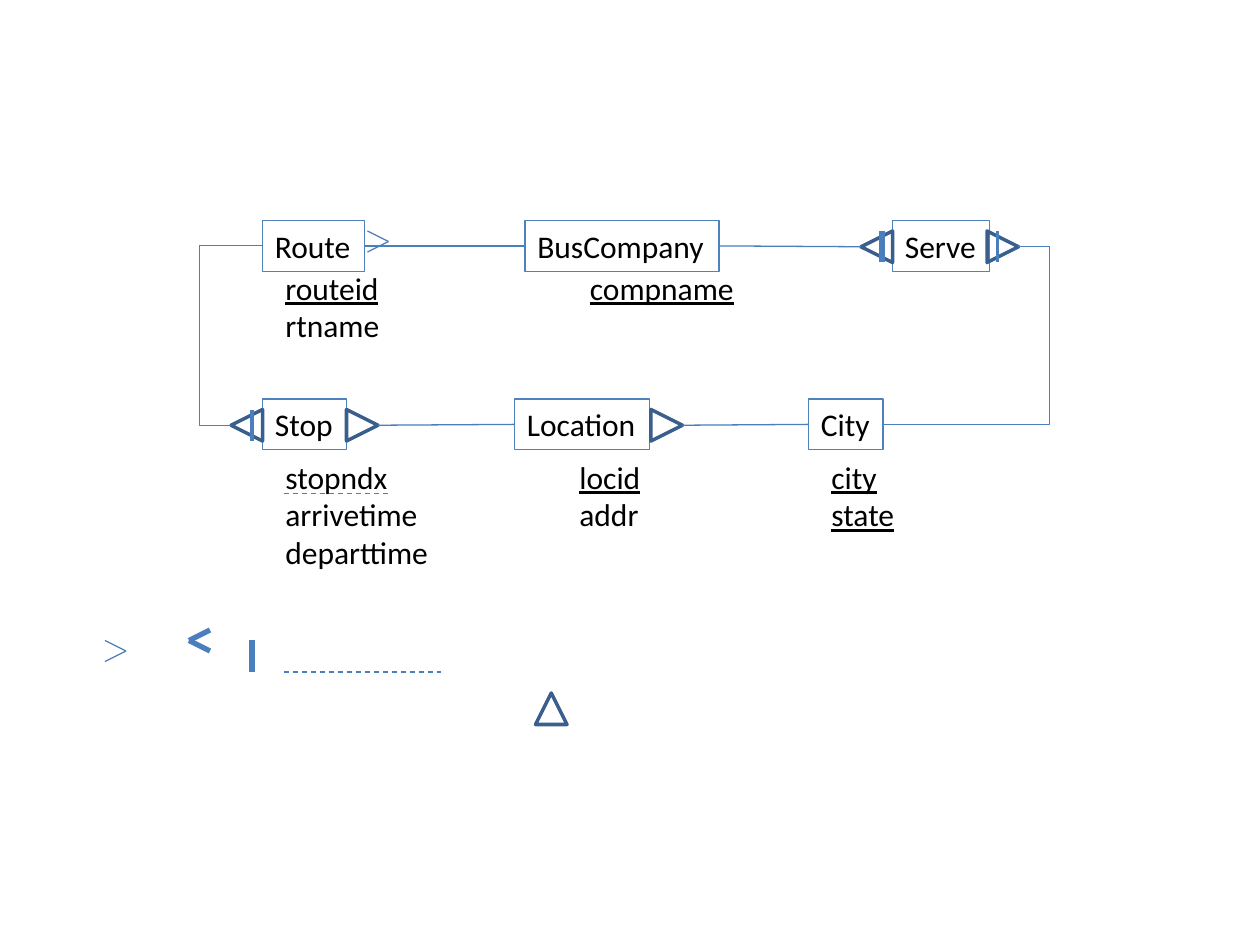
from lxml import etree
from pptx import Presentation
from pptx.dml.color import RGBColor
from pptx.enum.dml import MSO_LINE
from pptx.enum.shapes import MSO_CONNECTOR, MSO_SHAPE
from pptx.enum.text import MSO_ANCHOR, MSO_AUTO_SIZE, PP_ALIGN
from pptx.oxml.ns import qn
from pptx.util import Inches, Pt

BOX_BLUE = RGBColor(0x4F, 0x81, 0xBD)
LINK_BLUE = RGBColor(0x4B, 0x7E, 0xBC)
FOOT_BLUE = RGBColor(0x3A, 0x5F, 0x8C)
BLACK = RGBColor(0, 0, 0)

CELLS_PER_INCH = 12
BOX_HEIGHT = 4.84
FOOT = 3  # side of a crow's foot, in cells
TOP_ROW, BOTTOM_ROW = 21, 38
LEFT_SIDE, RIGHT_SIDE = 1, 3


def cells(count):
    return Inches(count / CELLS_PER_INCH)


def write_lines(frame, lines):
    """Write (text, underlined) pairs as left-aligned paragraphs."""
    frame.word_wrap = False
    frame.auto_size = MSO_AUTO_SIZE.SHAPE_TO_FIT_TEXT
    frame.vertical_anchor = MSO_ANCHOR.TOP
    for index, (text, underlined) in enumerate(lines):
        paragraph = frame.add_paragraph() if index else frame.paragraphs[0]
        paragraph.alignment = PP_ALIGN.LEFT
        run = paragraph.add_run()
        run.text = text
        run.font.name = "Calibri"
        run.font.size = Pt(18)
        run.font.color.rgb = BLACK
        if underlined:
            run.font.underline = True


def add_outline(slide, preset, col, row, width, height, color, weight):
    outline = slide.shapes.add_shape(
        preset, cells(col), cells(row), cells(width), cells(height))
    outline.shadow.inherit = False
    outline.fill.background()
    outline.line.color.rgb = color
    outline.line.width = Pt(weight)
    return outline


def add_entity(slide, name, col, row, width, attributes=(), offset=(0, 0), text_width=0):
    """Box an entity name; list its attributes at an offset from the box corner."""
    box = add_outline(slide, MSO_SHAPE.RECTANGLE, col, row, width, BOX_HEIGHT, BOX_BLUE, 0.75)
    write_lines(box.text_frame, [(name, False)])
    if attributes:
        height = 1.2 + 3.6 * len(attributes)
        listing = slide.shapes.add_textbox(
            cells(col + offset[0]), cells(row + offset[1]), cells(text_width), cells(height))
        write_lines(listing.text_frame, attributes)
    return box


def add_link(slide, start, end, weight=0.75, dashed=False, bend=None):
    """Join two grid points; bend is the elbow's place as a share of the width."""
    kind = MSO_CONNECTOR.STRAIGHT if bend is None else MSO_CONNECTOR.ELBOW
    link = slide.shapes.add_connector(kind, *map(cells, (*start, *end)))
    link.line.color.rgb = LINK_BLUE
    link.line.width = Pt(weight)
    if dashed:
        link.line.dash_style = MSO_LINE.DASH
    properties = link._element.spPr
    etree.SubElement(properties, qn("a:effectLst"))
    if bend is not None:
        geometry = properties.find(qn("a:prstGeom"))
        guides = geometry.find(qn("a:avLst"))
        if guides is None:
            guides = etree.SubElement(geometry, qn("a:avLst"))
        etree.SubElement(guides, qn("a:gd"), name="adj1", fmla=f"val {round(bend * 100000)}")
    return link


def add_foot(slide, col, row, rotation=0):
    foot = add_outline(slide, MSO_SHAPE.ISOSCELES_TRIANGLE, col, row, FOOT, FOOT, FOOT_BLUE, 2)
    foot.rotation = rotation


def add_chevron(slide, tip, reach, weight=0.75):
    """Draw two strokes that meet at tip from reach columns away."""
    col, row = tip
    for rise in (-1, 1):
        add_link(slide, (col + reach, row + rise), tip, weight)


def add_bar(slide, col, row, weight):
    add_link(slide, (col, row), (col, row + FOOT), weight)


def add_entities(slide):
    layout = {
        "Route": (25, TOP_ROW, 9.75, [("routeid", True), ("rtname", False)], (1, 4), 11.5),
        "BusCompany": (50, TOP_ROW, 18.5, [("compname", True)], (5, 4), 16.3),
        "Serve": (85, TOP_ROW, 9.25),
        "Stop": (25, BOTTOM_ROW, 8,
                 [("stopndx", False), ("arrivetime", False), ("departtime", False)],
                 (1, 5), 16.2),
        "Location": (49, BOTTOM_ROW, 12.85, [("locid", True), ("addr", False)], (5, 5), 8.3),
        "City": (77, BOTTOM_ROW, 7.1, [("city", True), ("state", True)], (1, 5), 8.6),
    }
    return {name: add_entity(slide, name, *place) for name, place in layout.items()}


def add_relationships(slide, entities):
    top_foot, bottom_foot = TOP_ROW + 1, BOTTOM_ROW + 1
    top_axis, bottom_axis = top_foot + FOOT / 2, bottom_foot + FOOT / 2
    top_middle, bottom_middle = TOP_ROW + BOX_HEIGHT / 2, BOTTOM_ROW + BOX_HEIGHT / 2

    for col, row, rotation in ((82, top_foot, 270), (94, top_foot, 90),
                               (22, bottom_foot, 270), (33, bottom_foot, 90),
                               (62, bottom_foot, 90)):
        add_foot(slide, col, row, rotation)
    for col, row, weight in ((84, top_foot, 3), (95, top_foot, 2), (24, bottom_foot, 2)):
        add_bar(slide, col, row, weight)
    add_chevron(slide, (37, 23), -2)

    for apex, name, side in (((82, top_axis), "BusCompany", RIGHT_SIDE),
                             ((36, bottom_axis), "Location", LEFT_SIDE),
                             ((65, bottom_axis), "City", LEFT_SIDE)):
        add_link(slide, apex, apex).end_connect(entities[name], side)
    route_link = add_link(slide, (34.75, top_middle), (50, top_middle))
    route_link.begin_connect(entities["Route"], RIGHT_SIDE)
    route_link.end_connect(entities["BusCompany"], LEFT_SIDE)

    add_link(slide, (97, top_axis), (84.1, bottom_middle), bend=-0.23)
    add_link(slide, (22, bottom_axis), (25, top_middle), bend=-1)
    add_link(slide, (27, 47), (37, 47), dashed=True)


def add_spare_symbols(slide, col, row):
    """Lay out the loose notation symbols from the given corner."""
    add_chevron(slide, (col + 2, row + 2), -2)
    add_chevron(slide, (col + 8, row + 1), 2, weight=3)
    add_bar(slide, col + 14, row + 1, 3)
    add_link(slide, (col + 17, row + 4), (col + 32, row + 4), dashed=True)
    add_foot(slide, col + 41, row + 6)


def main():
    presentation = Presentation()
    presentation.slide_width = Inches(10)
    presentation.slide_height = Inches(7.5)
    slide = presentation.slides.add_slide(presentation.slide_layouts[6])
    entities = add_entities(slide)
    add_relationships(slide, entities)
    add_spare_symbols(slide, 10, 60)
    presentation.save("out.pptx")


if __name__ == "__main__":
    main()
